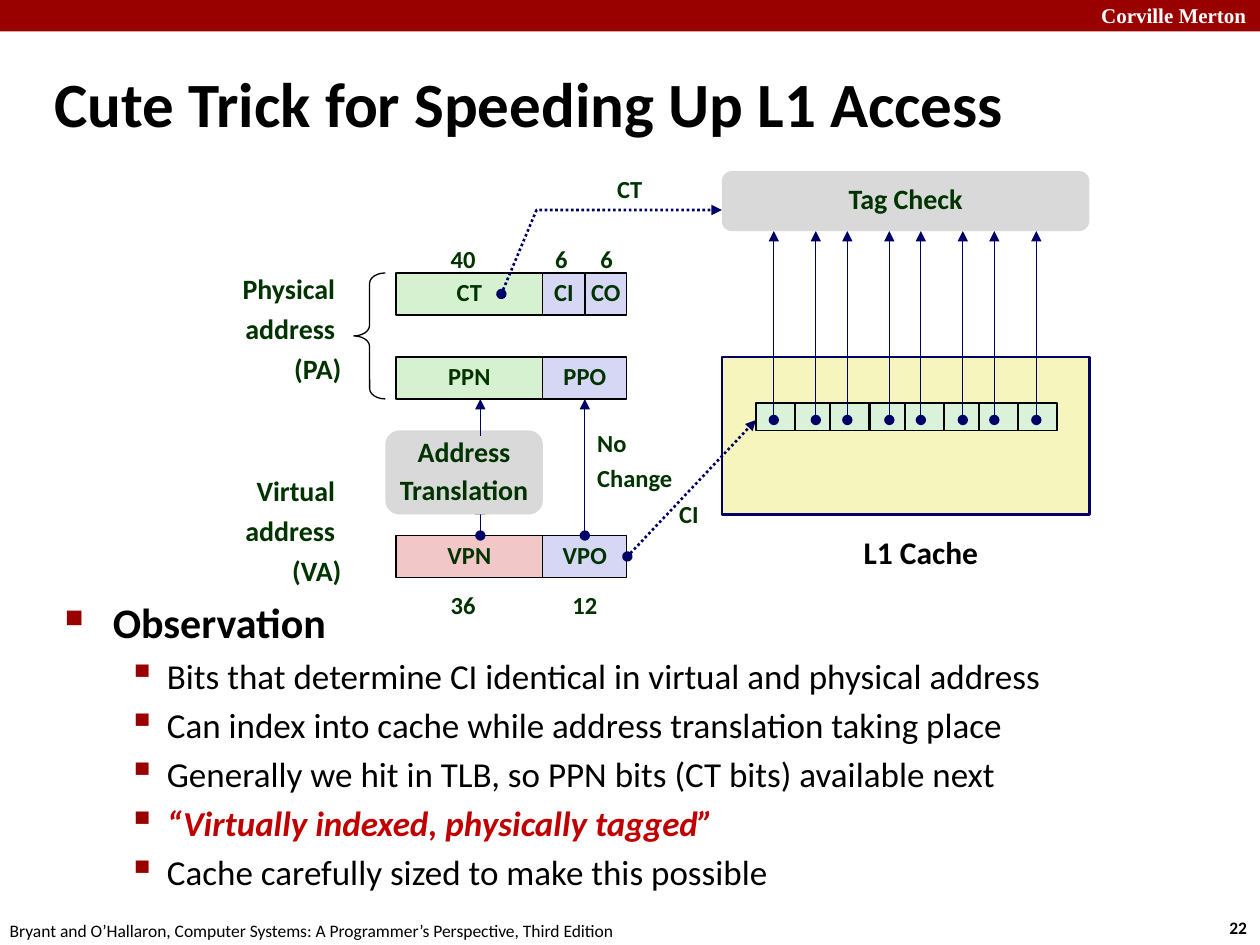
from lxml import etree
from pptx import Presentation
from pptx import util as u
from pptx.dml.color import RGBColor
from pptx.enum import dml, shapes, text
from pptx.oxml import ns

HUES = {
    "bar": "990000", "key": "C00000", "ink": "000000", "label": "003300",
    "navy": "000066", "white": "FFFFFF", "grey": "D9D9D9", "green": "D5F1CF",
    "blue": "D6D6F5", "pink": "F1C7C7", "cream": "F6F5BD", "mint": "DBF2DA",
}
KINDS = shapes.MSO_SHAPE
LEFT, MID, RIGHT = text.PP_ALIGN.LEFT, text.PP_ALIGN.CENTER, text.PP_ALIGN.RIGHT
TIGHT = {"line_spacing": 0.88, "space_before": u.Pt(5.2)}
LOOSE = {"line_spacing": 0.88, "space_before": u.Pt(6)}


def hue(name):
    return RGBColor.from_string(HUES[name])


def put(item, form):
    for key, value in form.items():
        setattr(item, key, value)


def node(parent, tag, **marks):
    item = etree.SubElement(parent, ns.qn(tag))
    for key, value in marks.items():
        item.set(key, str(value))
    return item


class Board:
    """Draws on one slide; a grid cell is 1/12 inch, 120 columns by 90 rows."""
    face = "Calibri"

    def __init__(self, deck):
        self.cell = deck.slide_width / 120
        self.slide = deck.slides.add_slide(deck.slide_layouts[6])
        self.items = self.slide.shapes

    def grid(self, *cells):
        return [round(c * self.cell) for c in cells]

    def para(self, frame, line, first, form, size, color, bold=True, ital=False, face=None):
        para = frame.paragraphs[0] if first else frame.add_paragraph()
        put(para, form)
        run = para.add_run()
        run.text = line
        put(run.font, {"name": face or self.face, "size": u.Pt(size),
                       "bold": bold, "italic": ital})
        run.font.color.rgb = hue(color)
        return para

    def fill(self, frame, words, size, color, align, form, wrap, **look):
        frame.word_wrap = wrap
        for i, line in enumerate(words.split("\n")):
            self.para(frame, line, i == 0, {"alignment": align, **form}, size, color, **look)

    def note(self, words, place, size=14, color="label", align=LEFT,
             form=TIGHT, wrap=False, **look):
        box = self.items.add_textbox(*self.grid(*place))
        self.fill(box.text_frame, words, size, color, align, form, wrap, **look)
        return box

    def box(self, place, fill=None, line=None, width=0.75, words="", size=14,
            kind=KINDS.RECTANGLE, bends=()):
        item = self.items.add_shape(kind, *self.grid(*place))
        item.shadow.inherit = False
        for i, bend in enumerate(bends):
            item.adjustments[i] = bend
        if fill:
            item.fill.solid()
            item.fill.fore_color.rgb = hue(fill)
        else:
            item.fill.background()
        if line:
            item.line.color.rgb = hue(line)
            item.line.width = u.Pt(width)
        else:
            item.line.fill.background()
        if words:
            item.text_frame.vertical_anchor = text.MSO_ANCHOR.MIDDLE
            self.fill(item.text_frame, words, size, "label", MID, TIGHT, False)

    def pill(self, place, words):
        self.box(place, "grey", words=words, size=16,
                 kind=KINDS.ROUNDED_RECTANGLE, bends=[0.167])

    def wire(self, *spots, dot=True, dash=False):
        """Joins the spots with an arrow, which may start at a dot."""
        ends = [self.grid(*spot) for spot in spots]
        if len(ends) == 2:
            item = self.items.add_connector(shapes.MSO_CONNECTOR.STRAIGHT, *ends[0], *ends[1])
            node(item._element.spPr, "a:effectLst")
        else:
            path = self.items.build_freeform(*ends[0])
            path.add_line_segments(ends[1:], close=False)
            item = path.convert_to_shape()
            item.shadow.inherit = False
            item.fill.background()
        item.line.color.rgb = hue("navy")
        item.line.width = u.Pt(1.5 if dash else 0.75)
        if dash:
            item.line.dash_style = dml.MSO_LINE.ROUND_DOT
        edge = item.line._get_or_add_ln()
        if dot:
            node(edge, "a:headEnd", type="oval")
        node(edge, "a:tailEnd", type="triangle")

    def points(self, place, rows):
        frame = self.items.add_textbox(*self.grid(*place)).text_frame
        frame.word_wrap = True
        for i, (line, look) in enumerate(rows):
            top = i == 0
            size, mark, share, left, hang = (
                (24, "■", 60, 0.38, 0.38) if top else (20, "▪", 110, 0.81, 0.31))
            para = self.para(frame, line, top, {"space_before": u.Pt(size * 0.2)}, size, **look)
            props = para._p.get_or_add_pPr()
            props.set("marL", str(u.Inches(left)))
            props.set("indent", str(-u.Inches(hang)))
            node(node(props, "a:buClr"), "a:srgbClr", val=HUES["bar"])
            node(props, "a:buSzPct", val=share * 1000)
            node(props, "a:buChar", char=mark)


def frame(board):
    board.box((0, 0, 120, 3), "bar")
    board.note("Corville Merton", (103.7, -0.35, 17.15, 3.6), 12, "white",
               form={}, wrap=True, face="Times New Roman")
    board.note("22", (115.9, 86.75, 4.45, 3.25), 10, "ink", form={})
    board.note("Bryant and O’Hallaron, Computer Systems: A Programmer’s Perspective, "
               "Third Edition", (-0.25, 87, 61, 3.25), 10, "ink", form={}, bold=False)
    title = board.note("Cute Trick for Speeding Up L1 Access", (4, 6, 104, 7.55),
                       36, "ink", form={}, wrap=True)
    title.text_frame.vertical_anchor = text.MSO_ANCHOR.MIDDLE


def bits(board):
    """Address fields, their widths in bits, and the translation between them."""
    big, mid, end = 37.7, 51.7, 55.7
    for words, col, row, wide, fill in (
            ("CT", big, 26, 14, "green"), ("CI", mid, 26, 4, "blue"),
            ("CO", end, 26, 4, "blue"), ("PPN", big, 34, 14, "green"),
            ("PPO", mid, 34, 8, "blue"), ("VPN", big, 51, 14, "pink"),
            ("VPO", mid, 51, 8, "blue")):
        board.box((col, row, wide, 4), fill, "ink", words=words)
    for words, col, row, wide in (
            ("40", 41.75, 23, 4.8), ("6", mid, 23, 3.6), ("6", 56, 23, 3.6),
            ("36", 41.75, 56, 4.8), ("CT", 57.6, 16.3, 4.8)):
        board.note(words, (col, row, wide, 3.7))
    board.note("12", (mid, 56, 8, 3.7), align=MID, wrap=True)
    for words, place in (("Physical \naddress \n(PA)", (1, 25.7, 32.7, 11.75)),
                         ("Virtual \naddress \n(VA)", (19.7, 44.9, 14, 11.75))):
        board.note(words, place, 16, align=RIGHT, form=LOOSE, wrap=True)
    board.box((33.7, 26, 3, 12), line="ink", kind=KINDS.LEFT_BRACE, bends=[0.333, 0.5])
    board.wire((45.75, 51), (45.75, 48))
    board.pill((36.7, 41, 15, 8), "Address\nTranslation")
    board.wire((45.75, 41.5), (45.75, 38), dot=False)
    board.wire((end, 51), (end, 38))
    board.note("No\nChange", (end, 40.55, 9.6, 7.1))


def cache(board):
    board.box((68.75, 34, 35, 15), "cream", "navy", 1.5)
    board.wire((59.75, 53), (72, 40), dash=True)
    board.note("CI", (63.5, 47.3, 4.3, 3.7))
    board.wire((47.75, 28), (51.1, 20), (68.75, 20), dash=True)
    board.note("L1 Cache", (79.7, 50.2, 16, 4.8), 18, "ink", MID, {}, True)
    for i in range(8):
        pair, odd = divmod(i, 2)
        board.box((72 + 7.08 * pair + 3.75 * odd, 38.4, 3.7, 2.6), "mint", "ink", 1)
    for i in range(8):
        pair, odd = divmod(i, 2)
        col = 73.7 + 7 * pair + 4 * odd
        board.wire((col, 40), (col, 22))
    board.pill((68.75, 16.3, 35, 5.7), "Tag Check")


def main():
    deck = Presentation()
    put(deck, {"slide_width": u.Inches(10), "slide_height": u.Inches(7.5)})
    board = Board(deck)
    frame(board)
    plain = {"color": "ink", "bold": False}
    board.points((5, 56.25, 112.2, 30.75), [
        ("Observation", {"color": "ink"}),
        ("Bits that determine CI identical in virtual and physical address", plain),
        ("Can index into cache while address translation taking place", plain),
        ("Generally we hit in TLB, so PPN bits (CT bits) available next", plain),
        ("“Virtually indexed, physically tagged”", {"color": "key", "ital": True}),
        ("Cache carefully sized to make this possible", plain)])
    bits(board)
    cache(board)
    deck.save("out.pptx")


if __name__ == "__main__":
    main()
